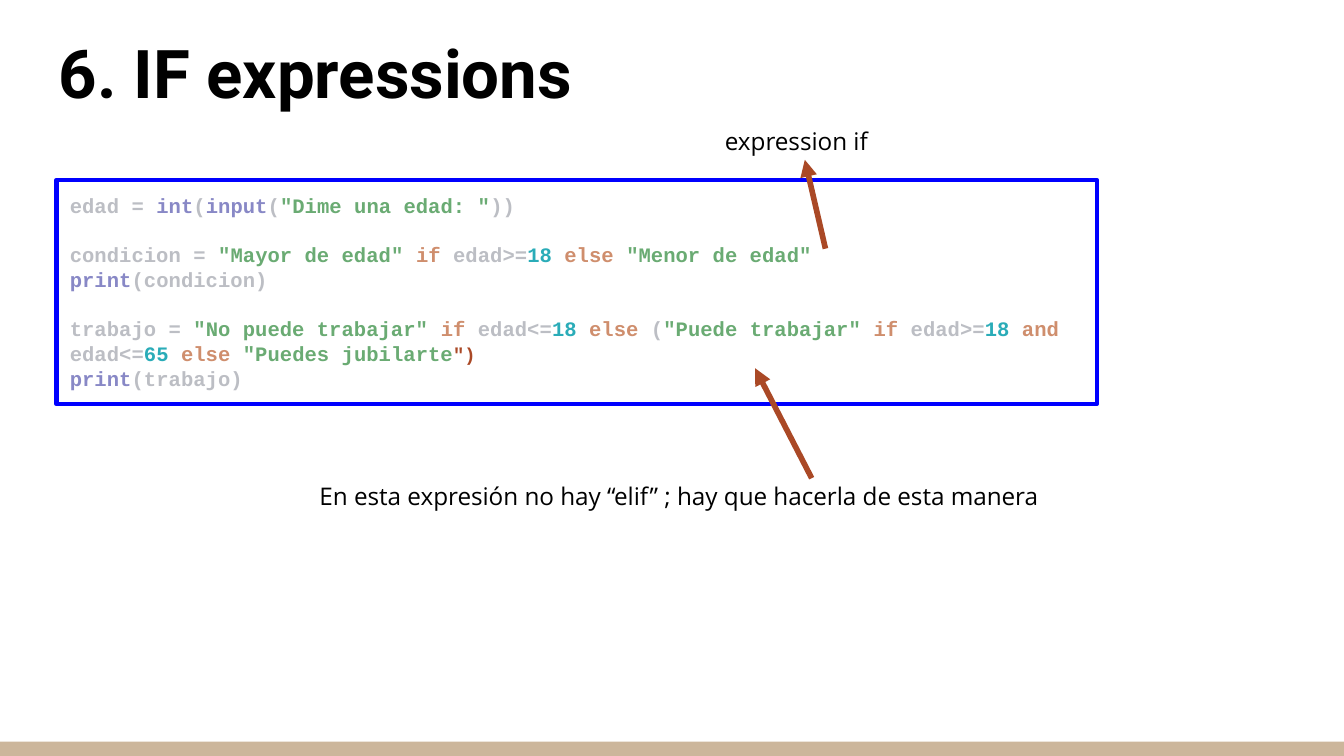
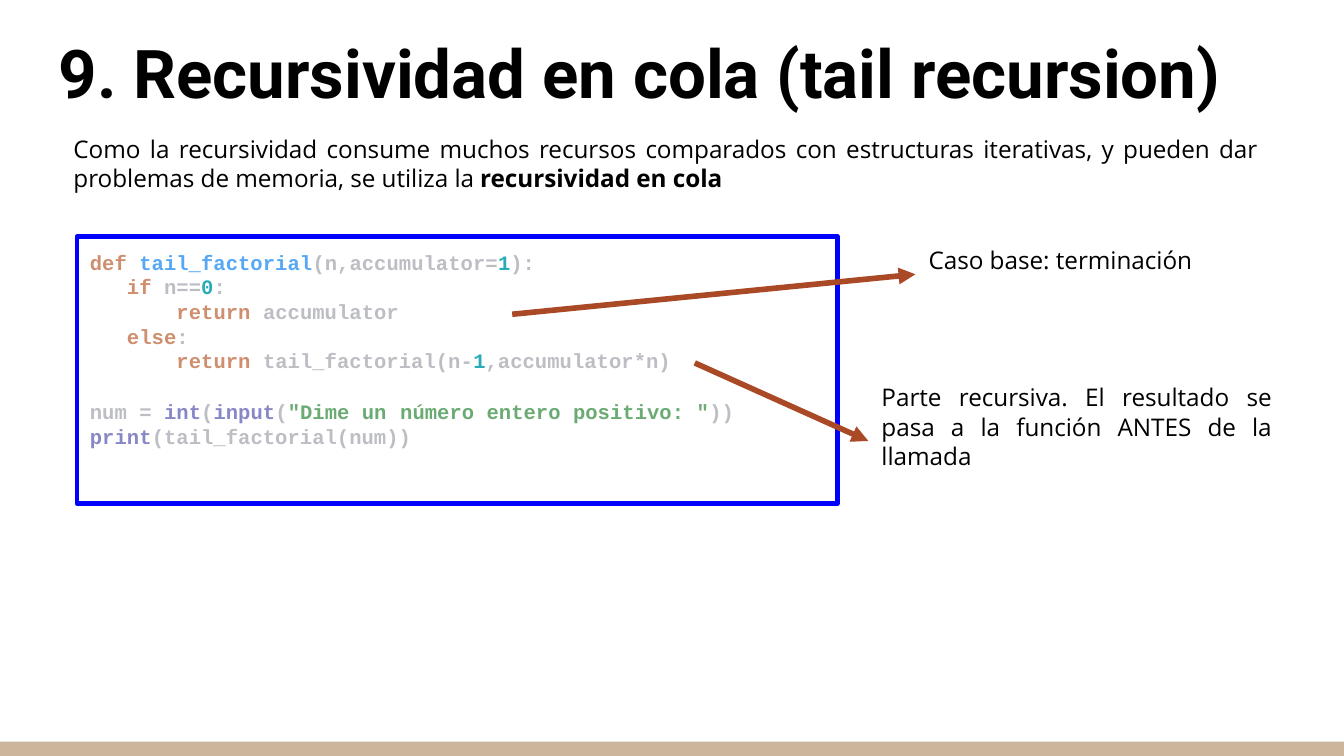
from dataclasses import dataclass

from lxml import etree
from pptx import Presentation
from pptx.dml.color import RGBColor
from pptx.enum.shapes import MSO_CONNECTOR, MSO_SHAPE
from pptx.enum.text import MSO_ANCHOR, PP_ALIGN
from pptx.oxml.ns import qn
from pptx.util import Cm, Pt

RECTANGLE = MSO_SHAPE.RECTANGLE
STRAIGHT = MSO_CONNECTOR.STRAIGHT
TOP, MIDDLE, BOTTOM = MSO_ANCHOR.TOP, MSO_ANCHOR.MIDDLE, MSO_ANCHOR.BOTTOM
LEFT, CENTER, JUSTIFY = PP_ALIGN.LEFT, PP_ALIGN.CENTER, PP_ALIGN.JUSTIFY
LEFT_SIDE = 1


@dataclass(frozen=True)
class Theme:
    title_font: str = "Roboto"
    body_font: str = "Open Sans"
    code_font: str = "Courier New"
    title_size: float = 36
    body_size: float = 13
    code_size: float = 11
    code_gap: float = 13.2
    frame_width: float = 2.25
    arrow_width: float = 3
    inset: float = 0.25
    note_bottom: float = 0.55
    text: str = "000000"
    paper: str = "FFFFFF"
    band: str = "CCB69B"
    frame: str = "0000FF"
    accent: str = "AA4926"
    plain: str = "BCBEC4"
    builtin: str = "8888C6"
    string: str = "6AAB73"
    keyword: str = "CF8E6D"
    number: str = "2AACB8"
    function: str = "56A8F5"


THEME = Theme()
PLAIN, BUILTIN, STRING = THEME.plain, THEME.builtin, THEME.string
KEYWORD, NUMBER, FUNCTION = THEME.keyword, THEME.number, THEME.function
WIDTH, HEIGHT = 25.4, 14.29

IF_CODE = [
    [("edad = ", PLAIN), ("int", BUILTIN), ("(", PLAIN), ("input", BUILTIN),
     ("(", PLAIN), ('"Dime una edad: "', STRING), ("))", PLAIN)],
    [("condicion = ", PLAIN), ('"Mayor de edad" ', STRING), ("if ", KEYWORD),
     ("edad>=", PLAIN), ("18 ", NUMBER), ("else ", KEYWORD),
     ('"Menor de edad"', STRING)],
    [("print", BUILTIN), ("(condicion)", PLAIN)],
    [("trabajo = ", PLAIN), ('"No puede trabajar" ', STRING), ("if ", KEYWORD),
     ("edad<=", PLAIN), ("18 ", NUMBER), ("else ", KEYWORD), ("(", PLAIN),
     ('"Puede trabajar" ', STRING), ("if ", KEYWORD), ("edad>=", PLAIN),
     ("18 ", NUMBER), ("and ", KEYWORD), ("edad<=", PLAIN), ("65 ", NUMBER),
     ("else ", KEYWORD), ('"Puedes jubilarte', STRING),
     ('")', THEME.accent, 10)],
    [("print", BUILTIN), ("(trabajo)", PLAIN)],
]

TAIL_CODE = [
    [("def ", KEYWORD), ("tail_factorial", FUNCTION),
     ("(n,accumulator=", PLAIN), ("1", NUMBER), ("):", PLAIN)],
    [("   ", PLAIN), ("if ", KEYWORD), ("n==", PLAIN), ("0", NUMBER),
     (":", PLAIN)],
    [("       ", PLAIN), ("return ", KEYWORD), ("accumulator", PLAIN)],
    [("   ", PLAIN), ("else", KEYWORD), (":", PLAIN)],
    [("       ", PLAIN), ("return ", KEYWORD), ("tail_factorial(n-", PLAIN),
     ("1", NUMBER), (",accumulator*n)", PLAIN)],
    [("num = ", PLAIN), ("int", BUILTIN), ("(", PLAIN), ("input", BUILTIN),
     ("(", PLAIN), ('"Dime un', STRING), (" ", STRING, 12),
     ('número entero positivo: "', STRING), ("))", PLAIN)],
    [("print", BUILTIN), ("(tail_factorial(num))", PLAIN)],
]


def color(value):
    return RGBColor.from_string(value)


def add_run(paragraph, text, font, size, ink, bold=False):
    run = paragraph.add_run()
    run.text = text
    run.font.name = font
    run.font.size = Pt(size)
    run.font.bold = bold
    run.font.color.rgb = color(ink)


def prepare_frame(shape, anchor, top=THEME.inset, bottom=THEME.inset):
    frame = shape.text_frame
    frame.word_wrap = True
    frame.vertical_anchor = anchor
    frame.margin_left = frame.margin_right = Cm(THEME.inset)
    frame.margin_top, frame.margin_bottom = Cm(top), Cm(bottom)
    return frame


def add_rectangle(slide, box, fill):
    shape = slide.shapes.add_shape(RECTANGLE, *map(Cm, box))
    shape.shadow.inherit = False
    shape.fill.solid()
    shape.fill.fore_color.rgb = color(fill)
    shape.line.fill.background()
    return shape


def add_title(slide, text):
    shape = slide.shapes.add_textbox(Cm(0.86), Cm(0.89), Cm(23.67), Cm(1.47))
    paragraph = prepare_frame(shape, BOTTOM).paragraphs[0]
    add_run(paragraph, text, THEME.title_font, THEME.title_size, THEME.text, True)


def add_text(slide, box, text, alignment, bold_end=""):
    shape = slide.shapes.add_textbox(*map(Cm, box))
    if alignment == JUSTIFY:
        frame = prepare_frame(shape, MIDDLE, 0, THEME.note_bottom)
    else:
        frame = prepare_frame(shape, TOP)
    paragraph = frame.paragraphs[0]
    paragraph.alignment = alignment
    add_run(paragraph, text, THEME.body_font, THEME.body_size, THEME.text)
    if bold_end:
        add_run(paragraph, bold_end, THEME.body_font, THEME.body_size,
                THEME.text, True)
    return shape


def add_code(slide, box, lines, block_starts):
    shape = add_rectangle(slide, box, THEME.paper)
    shape.line.color.rgb = color(THEME.frame)
    shape.line.width = Pt(THEME.frame_width)
    frame = prepare_frame(shape, TOP)
    for index, tokens in enumerate(lines):
        paragraph = frame.add_paragraph() if index else frame.paragraphs[0]
        paragraph.alignment = LEFT
        if index in block_starts:
            paragraph.space_before = Pt(THEME.code_gap)
        for text, ink, *size in tokens:
            add_run(paragraph, text, THEME.code_font,
                    size[0] if size else THEME.code_size, ink, True)


def add_arrow(slide, start, end, target=None):
    arrow = slide.shapes.add_connector(STRAIGHT, *map(Cm, start + end))
    arrow.line.color.rgb = color(THEME.accent)
    arrow.line.width = Pt(THEME.arrow_width)
    line = arrow.line._get_or_add_ln()
    etree.SubElement(line, qn("a:tailEnd"), type="triangle")
    etree.SubElement(arrow._element.spPr, qn("a:effectLst"))
    if target is not None:
        arrow.end_connect(target, LEFT_SIDE)


def add_slide(presentation, title):
    slide = presentation.slides.add_slide(presentation.slide_layouts[6])
    slide.background.fill.solid()
    slide.background.fill.fore_color.rgb = color(THEME.paper)
    add_rectangle(slide, (0, 14.02, WIDTH, 0.27), THEME.band)
    add_title(slide, title)
    return slide


def add_if_slide(presentation):
    slide = add_slide(presentation, "6. IF expressions")
    add_code(slide, (1.07, 3.4, 19.66, 4.24), IF_CODE, (1, 3))
    add_arrow(slide, (15.6, 4.7), (15.21, 3.02))
    add_text(slide, (13.31, 2.13, 3.48, 1.4), "expression if", CENTER)
    add_arrow(slide, (15.34, 9.04), (14.27, 6.96))
    add_text(slide, (4.8, 8.84, 16.05, 1.4),
             "En esta expresión no hay “elif” ; hay que hacerla de esta manera",
             CENTER)


def add_recursion_slide(presentation):
    slide = add_slide(presentation, "9. Recursividad en cola (tail recursion)")
    add_text(slide, (1.14, 2.11, 22.86, 2.49),
             "Como la recursividad consume muchos recursos comparados con "
             "estructuras iterativas, y pueden dar problemas de memoria, "
             "se utiliza la ", JUSTIFY, "recursividad en cola")
    add_code(slide, (1.45, 4.47, 14.38, 5.05), TAIL_CODE, (5,))
    base_case = add_text(slide, (17.3, 4.83, 6.17, 0.71),
                         "Caso base: terminación", JUSTIFY)
    add_arrow(slide, (9.68, 5.94), (17.3, 5.18), base_case)
    recursive_part = add_text(
        slide, (16.41, 7.42, 7.87, 1.83),
        "Parte recursiva. El resultado se pasa a la función ANTES de la llamada",
        JUSTIFY)
    add_arrow(slide, (13.13, 6.86), (16.41, 8.33), recursive_part)


def main():
    presentation = Presentation()
    presentation.slide_width = Cm(WIDTH)
    presentation.slide_height = Cm(HEIGHT)
    add_if_slide(presentation)
    add_recursion_slide(presentation)
    presentation.save("out.pptx")


if __name__ == "__main__":
    main()
